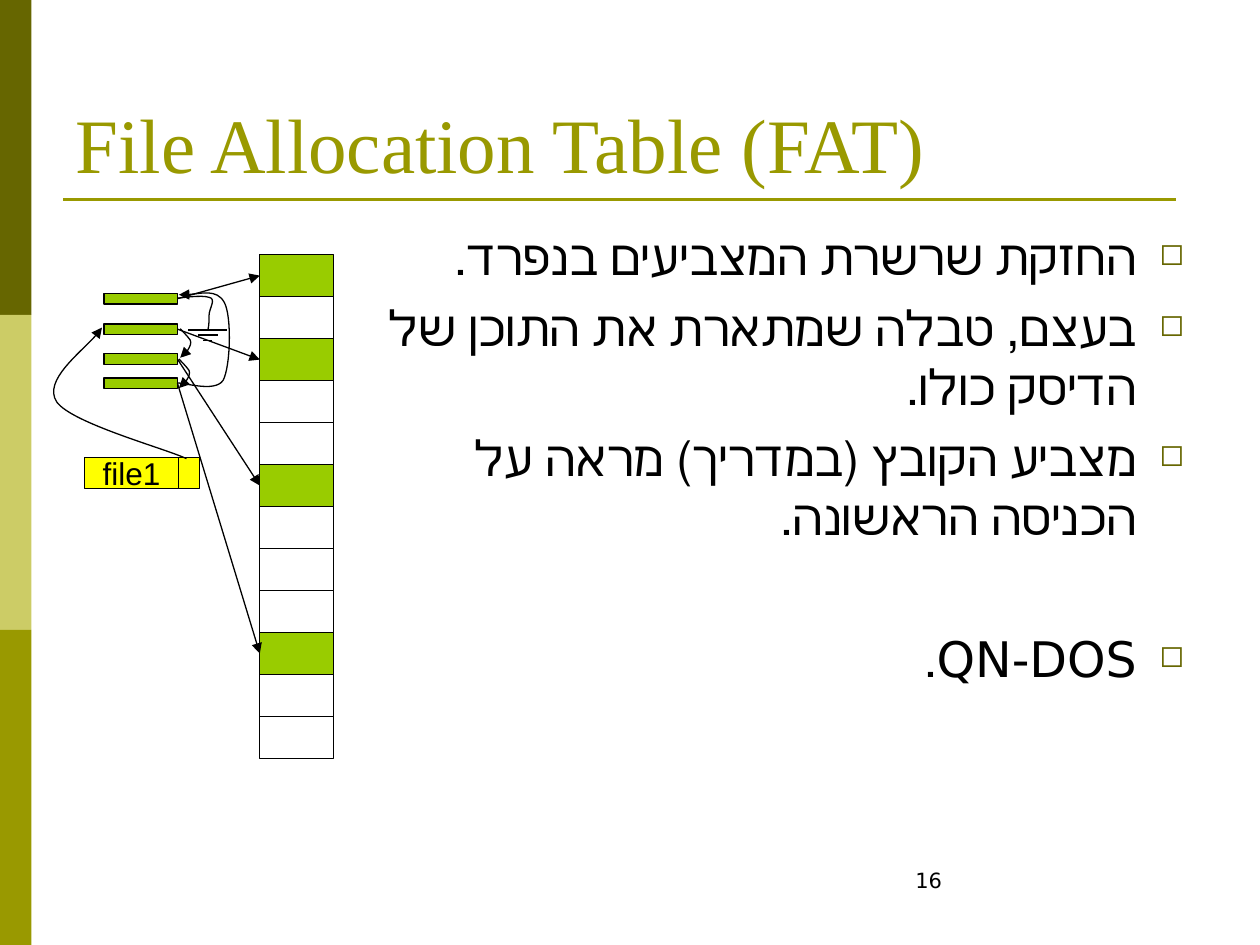
from lxml.etree import SubElement
from pptx import Presentation
from pptx.dml.color import RGBColor
from pptx.enum.shapes import MSO_CONNECTOR, MSO_SHAPE
from pptx.enum.text import MSO_ANCHOR, PP_ALIGN
from pptx.oxml.ns import qn
from pptx.util import Inches, Pt

BLACK = RGBColor(0, 0, 0)
WHITE = RGBColor(255, 255, 255)
DARK = RGBColor(0x66, 0x66, 0x00)
PALE = RGBColor(0xCC, 0xCC, 0x66)
OLIVE = RGBColor(0x99, 0x99, 0x00)
GREEN = RGBColor(0x99, 0xCC, 0x00)
YELLOW = RGBColor(0xFF, 0xFF, 0x00)

CELL = Inches(1) / 12
COLS, ROWS = 120, 90
BLOCKS = 12
USED = (0, 2, 5, 9)
ENTRIES = (3.7, 6.6, 9.45, 11.75)

POINTS = [
    ("החזקת שרשרת המצביעים בנפרד.", 0),
    ("בעצם, טבלה שמתארת את התוכן של הדיסק כולו.", 7),
    ("מצביע הקובץ (במדריך) מראה על הכניסה הראשונה.", 7),
    ("QN-DOS.", 47.5),
]
GROUND = [(11.72, 4.31), (13.52, 4.07), (15.2, 3.83), (15.92, 4.07),
          (16.64, 4.19), (15.92, 5.15), (15.92, 5.75),
          (15.92, 6.23), (15.92, 6.71), (15.8, 7.19)]
START = [(13.76, 19.43), (11.72, 18.47), (2.84, 16.07), (1.4, 14.03),
         (0.08, 11.99), (4.76, 8.51), (5.72, 6.95)]
HOP = [(13.16, 7.07), (13.28, 7.19), (13.88, 7.79), (14.12, 8.15),
       (14.24, 8.39), (14.12, 8.75), (13.88, 9.11),
       (13.76, 9.35), (13.28, 9.71), (13.16, 9.83)]
BACK = [(12.68, 12.23), (13.4, 12.11), (16.4, 13.19), (17.24, 11.99),
        (17.96, 10.67), (18.08, 5.87), (17.36, 4.55),
        (16.64, 3.23), (13.88, 3.95), (13.04, 3.83)]


def span(*cells):
    """Turn grid cells into lengths."""
    return [round(cell * CELL) for cell in cells]


def style(font, name, size, color):
    """Set the face, size and colour of a font."""
    font.name, font.size = name, Pt(size)
    font.color.rgb = color


def rect(slide, box, fill, edge=BLACK):
    """Draw a rectangle on the grid."""
    shape = slide.shapes.add_shape(MSO_SHAPE.RECTANGLE, *span(*box))
    shape.shadow.inherit = False
    shape.fill.solid()
    shape.fill.fore_color.rgb = fill
    if edge is None:
        shape.line.fill.background()
    else:
        shape.line.color.rgb = edge
        shape.line.width = Pt(0.75)
    return shape


def arrow(shape):
    """Put a triangle at the end of a line."""
    SubElement(shape.line._get_or_add_ln(), qn("a:tailEnd"), type="triangle")


def line(slide, x1, y1, x2, y2, color=BLACK, width=0.75):
    """Draw a straight line on the grid."""
    link = slide.shapes.add_connector(MSO_CONNECTOR.STRAIGHT, *span(x1, y1, x2, y2))
    link.line.color.rgb = color
    link.line.width = Pt(width)
    SubElement(link._element.spPr, qn("a:effectLst"))
    return link


def curve(slide, box, knots, head=True):
    """Draw a chain of cubic curves within a box."""
    spots = [span(box[0] + x, box[1] + y) for x, y in knots]
    pen = slide.shapes.build_freeform(*spots[0])
    pen.add_line_segments(spots[1:], close=False)
    shape = pen.convert_to_shape()
    shape.shadow.inherit = False
    shape.fill.background()
    shape.line.color.rgb = BLACK
    shape.line.width = Pt(0.75)
    steps = shape._element.findall(".//" + qn("a:lnTo"))
    for i in range(0, len(steps), 3):
        bend = SubElement(steps[i].getparent(), qn("a:cubicBezTo"))
        for step in steps[i:i + 3]:
            bend.append(step[0])
            step.getparent().remove(step)
    if head:
        arrow(shape)


def frame(slide):
    """Draw the side bands and the rule below the title."""
    band = ROWS / 3
    for i, color in enumerate((DARK, PALE, OLIVE)):
        rect(slide, (0, i * band, 3, band), color, None)
    line(slide, 6, 19, 112, 19, OLIVE, 1.5)


def title(slide, box):
    """Fill and place the title."""
    shape = slide.shapes.title
    shape.left, shape.top, shape.width, shape.height = span(*box)
    text = shape.text_frame
    text.text = "File Allocation Table (FAT)"
    text.vertical_anchor = MSO_ANCHOR.BOTTOM
    text.paragraphs[0].alignment = PP_ALIGN.LEFT
    style(text.paragraphs[0].runs[0].font, "Times New Roman", 44, OLIVE)


def body(slide, box):
    """Write the bulleted points from right to left."""
    text = slide.shapes.add_textbox(*span(*box)).text_frame
    text.word_wrap = True
    for i, (words, gap) in enumerate(POINTS):
        para = text.add_paragraph() if i else text.paragraphs[0]
        para.text = words
        para.alignment = PP_ALIGN.RIGHT
        para.space_before = Pt(gap)
        props = para._p.get_or_add_pPr()
        indent = Inches(0.38)
        props.set("rtl", "1")
        props.set("marL", str(indent))
        props.set("indent", str(-indent))
        tint = SubElement(props, qn("a:buClr"))
        SubElement(tint, qn("a:srgbClr"), val=str(DARK))
        SubElement(props, qn("a:buSzPct"), val="62000")
        SubElement(props, qn("a:buChar"), char="◻")
        style(para.runs[0].font, "DejaVu Sans", 28, BLACK)


def label(slide, box):
    """Draw the directory entry of the file."""
    x, y, w, h = box
    text = rect(slide, (x, y, w - 2, h), YELLOW).text_frame
    text.text = "file1"
    text.word_wrap = False
    text.vertical_anchor = MSO_ANCHOR.MIDDLE
    text.paragraphs[0].alignment = PP_ALIGN.CENTER
    style(text.paragraphs[0].runs[0].font, "Arial", 18, BLACK)
    rect(slide, (x + w - 2, y, 2, h), YELLOW)


def chain(slide, box):
    """Draw the disk, the table entries and the links between them."""
    x, y, w, h = box
    row = h / BLOCKS
    disk = [rect(slide, (x + w - 7, y + i * row, 7, row),
                 GREEN if i in USED else WHITE) for i in range(BLOCKS)]
    label(slide, (x + 4.05, y + 19.3, 10.95, 3))
    curve(slide, box, GROUND, False)
    for i, half in enumerate((1.86, 0.96, 0.42)):
        level = y + 7.19 + i * 0.48
        line(slide, x + 15.8 - half, level, x + 15.8 + half, level)
    second = [(a - 0.12, b + 2.88) for a, b in HOP]
    for knots in (START, HOP, second, BACK):
        curve(slide, box, knots)
    for top, block in zip(ENTRIES, USED):
        entry = rect(slide, (x + 5.9, y + top, 7, 1), GREEN)
        link = line(slide, x + 12.9, y + top + 0.5,
                    x + w - 7, y + (block + 0.5) * row)
        link.begin_connect(entry, 3)
        link.end_connect(disk[block], 1)
        arrow(link)


def number(slide, box):
    """Write the slide number."""
    text = slide.shapes.add_textbox(*span(*box)).text_frame
    text.word_wrap = True
    text.text = "16"
    style(text.paragraphs[0].runs[0].font, "DejaVu Sans", 12, BLACK)


def main():
    """Build the slide and save it."""
    deck = Presentation()
    deck.slide_width, deck.slide_height = span(COLS, ROWS)
    slide = deck.slides.add_slide(deck.slide_layouts[5])
    frame(slide)
    title(slide, (6, 3.6, 108, 15))
    body(slide, (33.6, 21, 80.4, 59.4))
    chain(slide, (4, 24.25, 27.75, 48))
    number(slide, (86, 82, 28, 6))
    deck.save("out.pptx")


if __name__ == "__main__":
    main()
